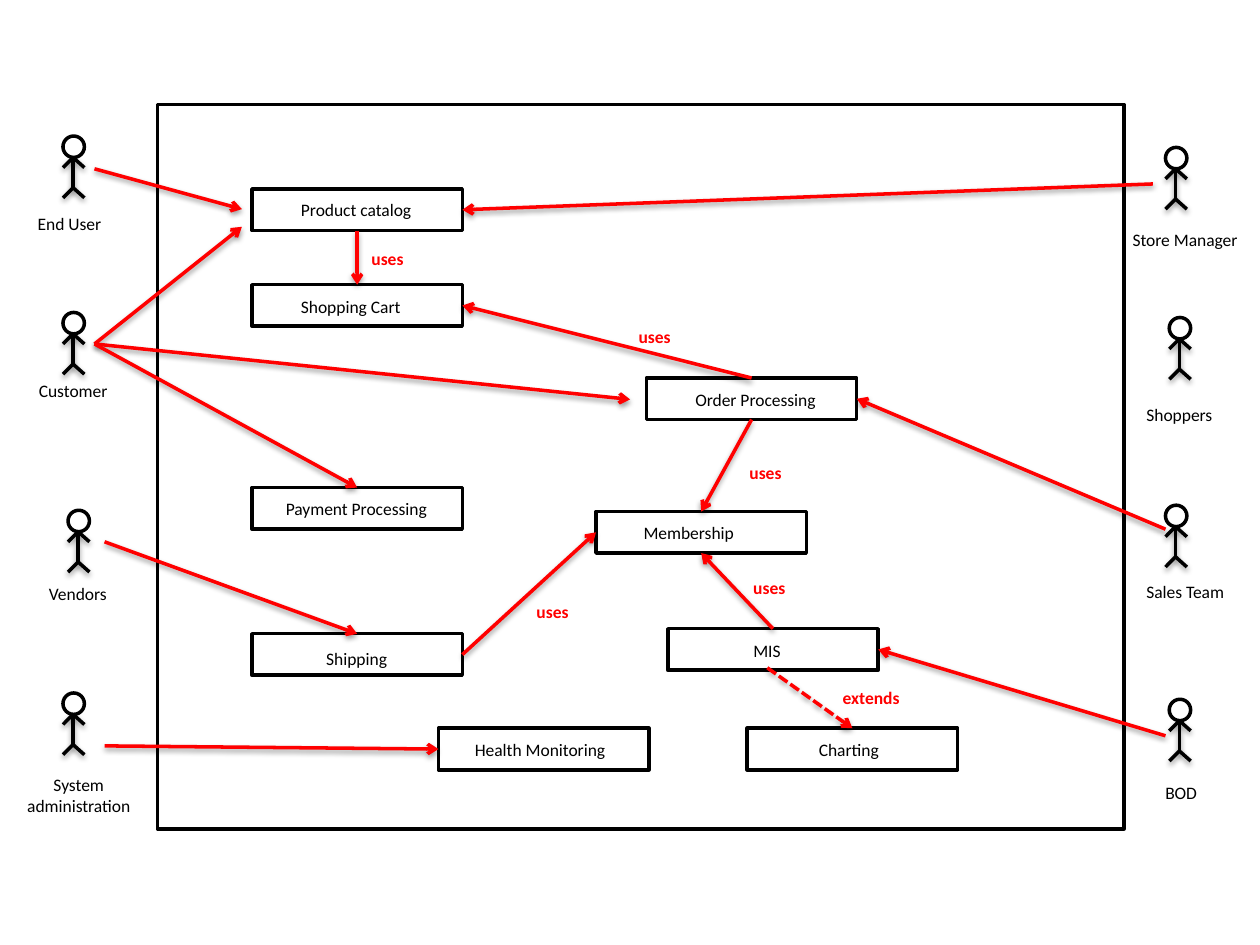
from lxml import etree
from pptx import Presentation
from pptx.dml.color import RGBColor
from pptx.enum.dml import MSO_LINE
from pptx.enum.shapes import MSO_CONNECTOR, MSO_SHAPE
from pptx.enum.text import MSO_AUTO_SIZE, PP_ALIGN
from pptx.oxml.ns import qn
from pptx.util import Inches, Pt

BLACK = RGBColor(0x00, 0x00, 0x00)
RED = RGBColor(0xFF, 0x00, 0x00)
WHITE = RGBColor(0xFF, 0xFF, 0xFF)
RECT, OVAL, STRAIGHT = MSO_SHAPE.RECTANGLE, MSO_SHAPE.OVAL, MSO_CONNECTOR.STRAIGHT
FIT, CENTER, DASH = MSO_AUTO_SIZE.SHAPE_TO_FIT_TEXT, PP_ALIGN.CENTER, MSO_LINE.SQUARE_DOT

# Content: name, head left and top, label left, top and width
ACTORS = [
    ("End User", 0.5, 1.08, 0.2, 1.64, 0.71),
    ("Customer", 0.5, 2.48, 0.21, 2.97, 0.76),
    ("System\nadministration", 0.5, 5.5, 0.11, 6.09, 1.03),
    ("Vendors", 0.54, 4.05, 0.29, 4.58, 0.68),
    ("Store Manager", 9.25, 1.17, 8.89, 1.77, 1.05),
    ("Sales Team", 9.25, 4.01, 9, 4.56, 0.84),
    ("Shoppers", 9.28, 2.52, 9, 3.16, 0.73),
    ("BOD", 9.28, 5.55, 9.15, 6.16, 0.46),
]
# Name: box left and top, label left, top and width
USE_CASES = {
    "Product catalog": (2, 1.5, 2.29, 1.53, 1.09),
    "Shopping Cart": (2, 2.26, 2.29, 2.3, 1),
    "Order Processing": (5.13, 3, 5.42, 3.04, 1.17),
    "Membership": (4.73, 4.06, 5.01, 4.09, 0.93),
    "MIS": (5.3, 4.99, 5.88, 5.03, 0.42),
    "Charting": (5.93, 5.78, 6.4, 5.82, 0.69),
    "Health Monitoring": (3.48, 5.78, 3.67, 5.82, 1.25),
    "Shipping": (2, 5.03, 2.49, 5.09, 0.69),
    "Payment Processing": (2, 3.87, 2.17, 3.9, 1.34),
}
# Each end is a point or a use case with a side
CUSTOMER = (0.75, 2.73)
ARROWS = [
    ((0.75, 1.34), (1.92, 1.66)),
    (("Product catalog", "bottom"), ("Shopping Cart", "top")),
    (CUSTOMER, (1.92, 1.8)),
    (CUSTOMER, (5, 3.17)),
    (CUSTOMER, ("Payment Processing", "top")),
    (("Order Processing", "top"), ("Shopping Cart", "right")),
    ((0.83, 4.3), ("Shipping", "top")),
    ((0.83, 5.92), ("Health Monitoring", "left")),
    ((9.25, 4.2), ("Order Processing", "right")),
    ((9.25, 5.84), ("MIS", "right")),
    (("Order Processing", "bottom"), ("Membership", "top")),
    (("MIS", "top"), ("Membership", "bottom")),
    (("Shipping", "right"), ("Membership", "left")),
    ((9.15, 1.46), ("Product catalog", "right")),
]
EXTENDS = ((6.09, 5.3), ("Charting", "top"))
RELATIONS = [
    ("uses", 2.85, 1.92, 0.46), ("uses", 4.97, 2.54, 0.46),
    ("uses", 4.16, 4.72, 0.46), ("uses", 5.88, 4.53, 0.46),
    ("uses", 5.85, 3.62, 0.46), ("extends", 6.59, 5.4, 0.66),
]

# Sizes in inches
BOX_W, BOX_H = 1.67, 0.33
HEAD, MID = 0.17, 0.08
LIMBS = [  # offsets from the head's left and top
    (MID, 0.17, MID, 0.42),
    (0, 0.25, MID, 0.17), (HEAD, 0.25, MID, 0.17),
    (0, 0.49, MID, 0.41), (MID, 0.41, HEAD, 0.49),
]
SIDES = {"left": (0, 0.5), "right": (1, 0.5), "top": (0.5, 0), "bottom": (0.5, 1)}


def outline(shapes, kind, x, y, w, h):
    sp = shapes.add_shape(kind, Inches(x), Inches(y), Inches(w), Inches(h))
    sp.shadow.inherit = False
    sp.fill.background()
    sp.line.color.rgb = BLACK
    sp.line.width = Pt(2)


def label(shapes, text, x, y, w, color=BLACK, bold=False):
    lines = text.count("\n") + 1
    sp = shapes.add_textbox(Inches(x), Inches(y), Inches(w), Inches(0.1 + 0.17 * lines))
    tf = sp.text_frame
    tf.text = text
    tf.word_wrap = False
    tf.auto_size = FIT
    for p in tf.paragraphs:
        if lines > 1:
            p.alignment = CENTER
        for r in p.runs:
            r.font.name, r.font.size, r.font.bold = "Calibri", Pt(10), bold
            r.font.color.rgb = color


def line(shapes, x1, y1, x2, y2, color=BLACK, arrow=False, dashed=False):
    cn = shapes.add_connector(STRAIGHT, Inches(x1), Inches(y1), Inches(x2), Inches(y2))
    cn.line.color.rgb = color
    cn.line.width = Pt(2)
    if dashed:
        cn.line.dash_style = DASH
    sp_pr = cn._element.spPr
    if arrow:
        etree.SubElement(sp_pr.find(qn("a:ln")), qn("a:tailEnd"), type="arrow")
    # Soft shadow straight below
    effects = etree.SubElement(sp_pr, qn("a:effectLst"))
    shadow = etree.SubElement(effects, qn("a:outerShdw"), blurRad="40000", dist="20000",
                              dir="5400000", rotWithShape="0")
    black = etree.SubElement(shadow, qn("a:srgbClr"), val=str(BLACK))
    etree.SubElement(black, qn("a:alpha"), val="38000")


def point(end):
    if end[0] not in USE_CASES:
        return end
    x, y = USE_CASES[end[0]][:2]
    fx, fy = SIDES[end[1]]
    return x + fx * BOX_W, y + fy * BOX_H


prs = Presentation()
prs.slide_width, prs.slide_height = Inches(10), Inches(7.5)
s = prs.slides.add_slide(prs.slide_layouts[6])
s.background.fill.solid()
s.background.fill.fore_color.rgb = WHITE

# System boundary
outline(s.shapes, RECT, 1.25, 0.83, 7.67, 5.75)

# Actors
for name, x, y, *place in ACTORS:
    actor = s.shapes.add_group_shape().shapes
    outline(actor, OVAL, x, y, HEAD, HEAD)
    for x1, y1, x2, y2 in LIMBS:
        line(actor, x + x1, y + y1, x + x2, y + y2)
    label(actor, name, *place)

# Use cases
for name, (x, y, *place) in USE_CASES.items():
    use_case = s.shapes.add_group_shape().shapes
    outline(use_case, RECT, x, y, BOX_W, BOX_H)
    label(use_case, name, *place)

# Arrows and their labels
for start, end in ARROWS + [EXTENDS]:
    line(s.shapes, *point(start), *point(end), RED, arrow=True,
         dashed=(start, end) == EXTENDS)
for text, *place in RELATIONS:
    label(s.shapes, text, *place, color=RED, bold=True)

prs.save("out.pptx")
